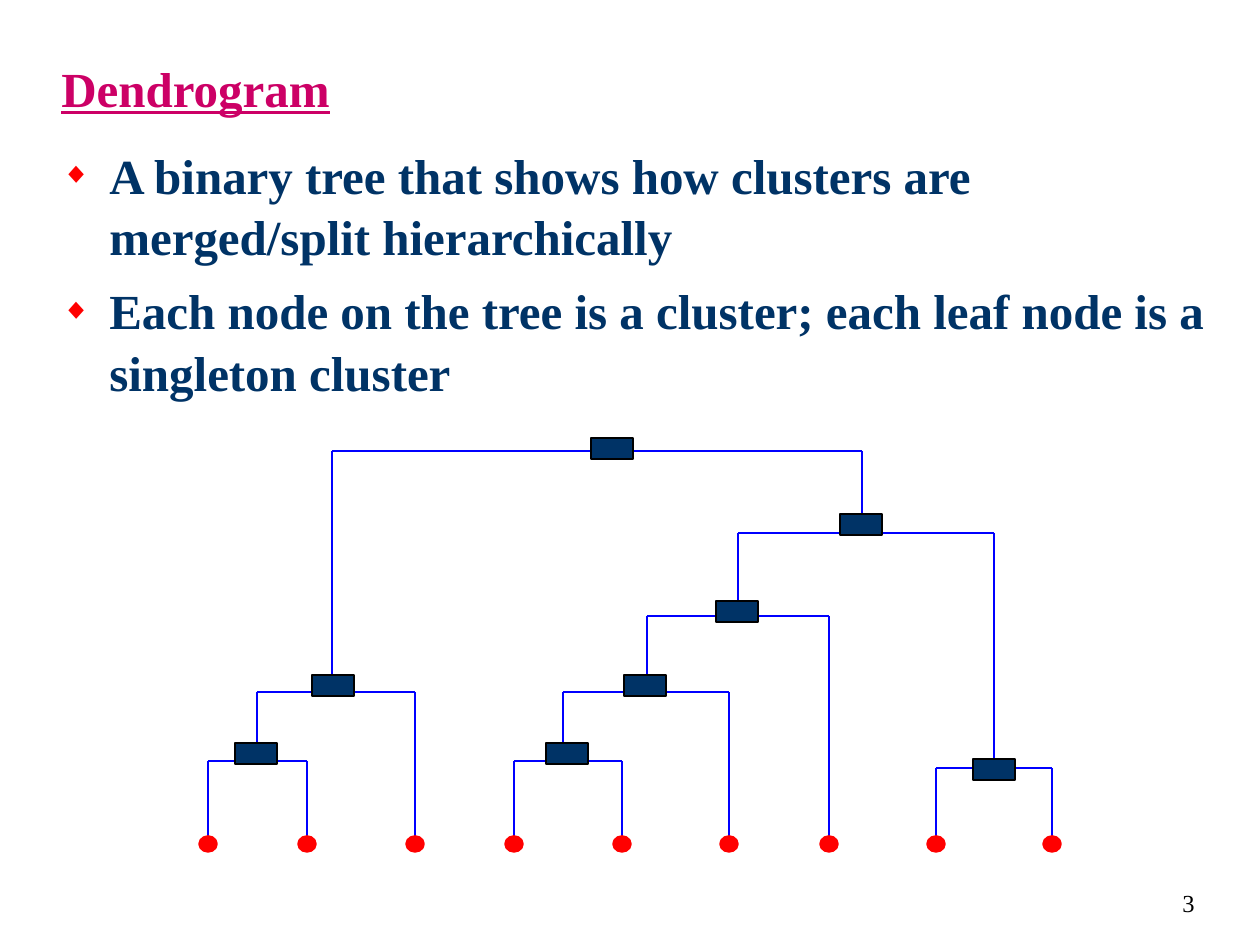
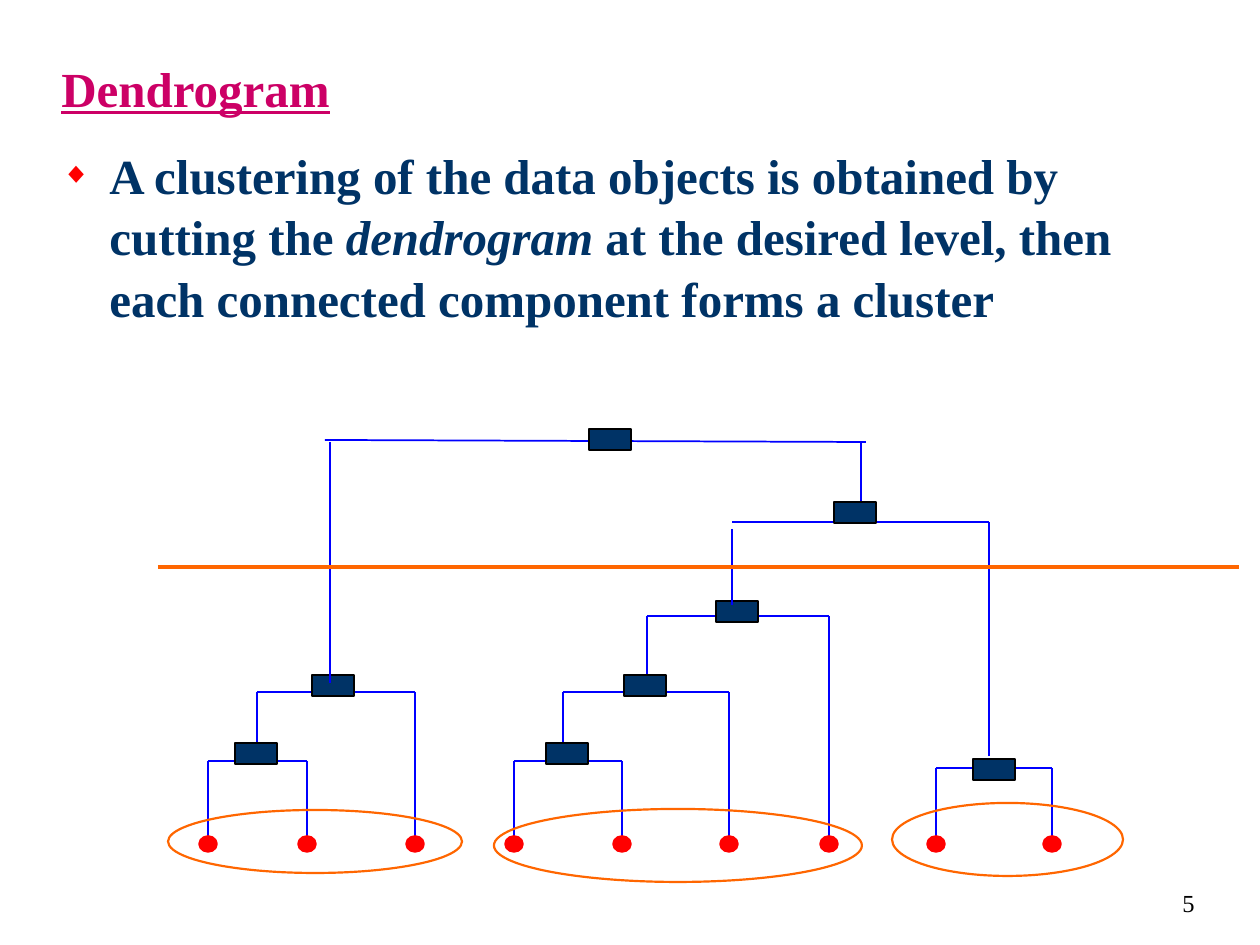
from lxml.etree import SubElement
from pptx import Presentation
from pptx.dml.color import RGBColor
from pptx.enum.shapes import MSO_CONNECTOR, MSO_SHAPE
from pptx.enum.text import MSO_ANCHOR, PP_ALIGN
from pptx.oxml.ns import qn
from pptx.util import Pt

PX = 914400 / 126
FONT = "Times New Roman"
HEX = {
    "title": "CC0066", "body": "003366", "page": "000000", "bullet": "FF0000",
    "edge": "0000FF", "node": "003366", "rim": "000000", "leaf": "FF0000",
    "cut": "FF6600",
}

LEAF_Y = 844
LEAVES = [208, 307, 415, 514, 622, 729, 829, 936, 1052]
NODE_W, NODE_H = 42, 21
# Each fork: left x, right x, bar y, left foot y, right foot y
LOW_FORKS = [
    (208, 307, 761, LEAF_Y, LEAF_Y),
    (514, 622, 761, LEAF_Y, LEAF_Y),
    (936, 1052, 768, LEAF_Y, LEAF_Y),
    (257, 415, 692, 761, LEAF_Y),
    (563, 729, 692, 761, LEAF_Y),
    (647, 829, 616, 692, LEAF_Y),
]
TOP_FORKS = [(738, 994, 533, 616, 768), (332, 862, 451, 692, 533)]
LOW_NODES = [(235, 743), (312, 675), (546, 743), (624, 675), (716, 601), (973, 759)]
# The upper part of the cut tree is slightly loose: x1, y1, x2, y2
CUT_EDGES = [
    (732, 529, 732, 605), (989, 756, 989, 522), (989, 522, 732, 522),
    (861, 442, 861, 524), (866, 442, 325, 440), (330, 683, 330, 442),
]
CLUSTERS = [(168, 810, 294, 63), (494, 809, 368, 73), (892, 803, 231, 73)]


def emu(*nums):
    return [round(n * PX) for n in nums]


def rgb(name):
    return RGBColor.from_string(HEX[name])


def add_text(slide, box, paras, color, size=28, bold=True, under=False,
             align=PP_ALIGN.LEFT, anchor=MSO_ANCHOR.MIDDLE, wrap=True,
             bullet=False, lead=1.05):
    """Add paragraphs, each a list of runs; every second run is italic."""
    frame = slide.shapes.add_textbox(*emu(*box)).text_frame
    frame.word_wrap = wrap
    frame.vertical_anchor = anchor
    for i, runs in enumerate(paras):
        para = frame.add_paragraph() if i else frame.paragraphs[0]
        para.alignment = align
        para.line_spacing = lead
        if bullet:
            para.space_before = Pt(7)
            add_bullet(para)
        for j, words in enumerate(runs):
            run = para.add_run()
            run.text = words
            font = run.font
            font.name, font.size, font.bold = FONT, Pt(size), bold
            font.italic, font.underline = j % 2 == 1, under
            font.color.rgb = rgb(color)


def add_bullet(para):
    props = para._p.get_or_add_pPr()
    hang = emu(48)[0]
    props.set("marL", str(hang))
    props.set("indent", str(-hang))
    tint = SubElement(props, qn("a:buClr"))
    SubElement(tint, qn("a:srgbClr"), val=HEX["bullet"])
    SubElement(props, qn("a:buSzPct"), val="60000")
    SubElement(props, qn("a:buFont"), typeface=FONT)
    SubElement(props, qn("a:buChar"), char="◆")


def add_line(slide, ends, color="edge", width=1):
    line = slide.shapes.add_connector(MSO_CONNECTOR.STRAIGHT, *emu(*ends))
    line.line.color.rgb = rgb(color)
    line.line.width = Pt(width)
    SubElement(line._element.spPr, qn("a:effectLst"))


def add_form(slide, kind, box, rim, width, fill=None):
    form = slide.shapes.add_shape(kind, *emu(*box))
    form.shadow.inherit = False
    if fill:
        form.fill.solid()
        form.fill.fore_color.rgb = rgb(fill)
    else:
        form.fill.background()
    form.line.color.rgb = rgb(rim)
    form.line.width = Pt(width)


def add_fork(slide, left, right, top, left_foot, right_foot):
    add_line(slide, (left, top, right, top))
    add_line(slide, (left, top, left, left_foot))
    add_line(slide, (right, top, right, right_foot))


def add_nodes(slide, spots):
    for x, y in spots:
        add_form(slide, MSO_SHAPE.RECTANGLE, (x, y, NODE_W, NODE_H), "rim", 0.75, "node")


def add_tree(slide, forks):
    """Draw forks, then the leaves and lower nodes over them."""
    for fork in forks:
        add_fork(slide, *fork)
    for x in LEAVES:
        add_form(slide, MSO_SHAPE.OVAL, (x - 8, LEAF_Y - 7, 16, 14), "leaf", 2, "leaf")
    add_nodes(slide, LOW_NODES)


def add_page(deck, number, points, height):
    slide = deck.slides.add_slide(deck.slide_layouts[6])
    add_text(slide, (945, 871, 262, 63), [[number]], "page", size=14, bold=False,
             align=PP_ALIGN.RIGHT, wrap=False, lead=1.0)
    add_text(slide, (49, 47, 1163, 78), [["Dendrogram"]], "title", under=True)
    add_text(slide, (49, 136, 1169, height), points, "body",
             anchor=MSO_ANCHOR.TOP, bullet=True)
    return slide


def add_intro(deck):
    slide = add_page(deck, "3", [
        ["A binary tree that shows how clusters are merged/split hierarchically"],
        ["Each node on the tree is a cluster; each leaf node is a singleton cluster"],
    ], 368)
    add_tree(slide, LOW_FORKS + TOP_FORKS)
    add_nodes(slide, [(591, 438), (840, 514)])


def add_cut(deck):
    slide = add_page(deck, "5", [[
        "A clustering of the data objects is obtained by cutting the ",
        "dendrogram",
        " at the desired level, then each connected component forms a cluster",
    ]], 262)
    add_tree(slide, LOW_FORKS)
    for edge in CUT_EDGES:
        add_line(slide, edge)
    add_nodes(slide, [(589, 429), (834, 502)])
    add_line(slide, (158, 567, 1239, 567), "cut", 2)
    for box in CLUSTERS:
        add_form(slide, MSO_SHAPE.OVAL, box, "cut", 1.25)


def main():
    deck = Presentation()
    deck.slide_width, deck.slide_height = emu(1260, 945)
    add_intro(deck)
    add_cut(deck)
    deck.save("out.pptx")


if __name__ == "__main__":
    main()
